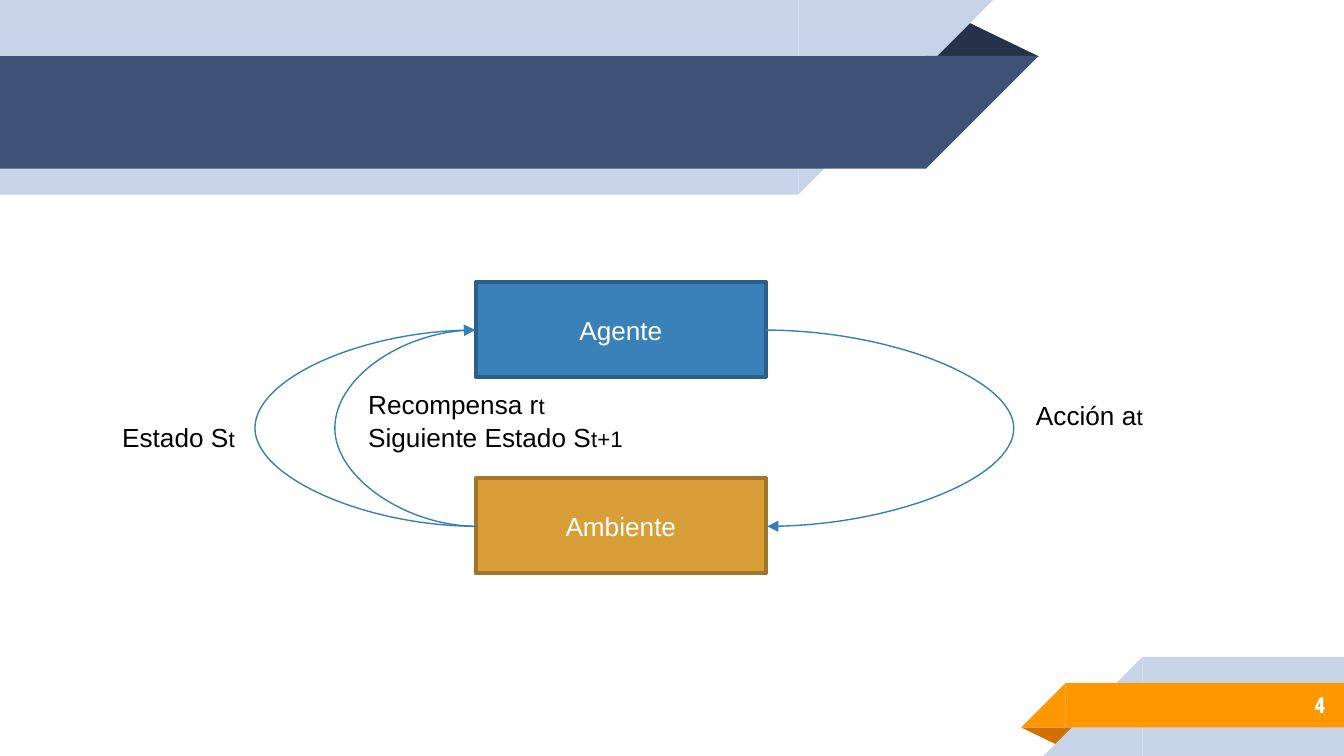
"""Build the agent and environment loop slide."""
from lxml import etree
from pptx import Presentation
from pptx.dml.color import RGBColor
from pptx.enum.shapes import MSO_CONNECTOR, MSO_SHAPE
from pptx.enum.text import MSO_ANCHOR, PP_ALIGN
from pptx.oxml.ns import qn
from pptx.util import Cm, Pt

RECT = MSO_SHAPE.RECTANGLE
TRI = MSO_SHAPE.ISOSCELES_TRIANGLE
CORNER = MSO_SHAPE.RIGHT_TRIANGLE
CURVE = MSO_CONNECTOR.CURVE
CENTER, RIGHT = PP_ALIGN.CENTER, PP_ALIGN.RIGHT
MIDDLE = MSO_ANCHOR.MIDDLE

COLORS = {
    "navy": "3F5378", "dark": "263248", "pale": "C7D3E6",
    "orange": "FF9800", "rust": "D26F00", "white": "FFFFFF", "black": "000000",
    "agent": "3A81BA", "agent_line": "2B5F8A",
    "env": "D89F39", "env_line": "A0762A", "arrow": "367EB9",
}


def add_block(kind, x, y, w, h, color):
    sp = s.shapes.add_shape(kind, Cm(x), Cm(y), Cm(w), Cm(h))
    sp.shadow.inherit = False
    sp.fill.solid()
    sp.fill.fore_color.rgb = RGBColor.from_string(COLORS[color])
    sp.line.fill.background()
    return sp


def add_run(p, text, size, color, font="Arial"):
    r = p.add_run()
    r.text = text
    r.font.size = Pt(size)
    r.font.name = font
    r.font.color.rgb = RGBColor.from_string(COLORS[color])
    return r


prs = Presentation()
prs.slide_width, prs.slide_height = Cm(25.4), Cm(14.29)
s = prs.slides.add_slide(prs.slide_layouts[6])

sp = add_block(TRI, 17.48, 0.36, 2.16, 0.71, "dark")
sp.adjustments[0] = 0.32
for y, w, h, color in [(0, 15.09, 3.68, "pale"), (1.06, 17.5, 2.13, "navy")]:
    add_block(RECT, 0, y, w, h, color)
    sp = add_block(CORNER, w, y, h, h, color)
    sp._element.spPr.xfrm.set("flipV", "1")

sp = add_block(TRI, 19.3, 13.75, 1.09, 0.36, "rust")
sp.adjustments[0] = 0.32
sp.rotation = 180
for x, y, h, color in [(21.59, 12.42, 1.87, "pale"), (20.14, 12.91, 0.84, "orange")]:
    add_block(RECT, x, y, 25.4 - x, h, color)
    sp = add_block(CORNER, x - h, y, h, h, color)
    sp._element.spPr.xfrm.set("flipH", "1")

sp = s.shapes.add_textbox(Cm(21.16), Cm(12.88), Cm(4.14), Cm(0.89))
tf = sp.text_frame
tf.word_wrap = True
tf.vertical_anchor = MIDDLE
p = tf.paragraphs[0]
p.alignment = RIGHT
add_run(p, "4", 12, "white", "Roboto Condensed").font.bold = True

for y, text, color in [(5.33, "Agente", "agent"), (9.04, "Ambiente", "env")]:
    sp = add_block(RECT, 8.99, y, 5.49, 1.8, color)
    sp.line.color.rgb = RGBColor.from_string(COLORS[color + "_line"])
    sp.line.width = Pt(2)
    etree.SubElement(sp.line._get_or_add_ln(), qn("a:round"))
    tf = sp.text_frame
    tf.vertical_anchor = MIDDLE
    p = tf.paragraphs[0]
    p.alignment = CENTER
    add_run(p, text, 14, "white")

TOP, BOTTOM, STEP = 6.24, 9.95, 0.04
for x1, y1, x2, y2, depth in [
    (9.02, BOTTOM, 8.98, TOP, 4.2),
    (14.46, TOP, 14.5, BOTTOM, 4.7),
    (9.02, BOTTOM, 8.98, TOP, 2.69),
]:
    sp = s.shapes.add_connector(CURVE, Cm(x1), Cm(y1), Cm(x2), Cm(y2))
    sp.line.color.rgb = RGBColor.from_string(COLORS["arrow"])
    sp.line.width = Pt(0.75)
    etree.SubElement(sp.line._get_or_add_ln(), qn("a:tailEnd"), type="triangle")
    spPr = sp._element.spPr
    etree.SubElement(spPr, qn("a:effectLst"))
    guides = spPr.find(qn("a:prstGeom")).find(qn("a:avLst"))
    bend = round(depth / STEP * 100000)
    etree.SubElement(guides, qn("a:gd"), name="adj1", fmla=f"val {bend}")

for x, y, w, text, index in [
    (2.06, 7.85, 2.67, "Estado S", "t"),
    (19.33, 7.42, 2.54, "Acción a", "t"),
    (6.71, 7.21, 3.86, "Recompensa r", "t"),
    (6.71, 7.85, 5.36, "Siguiente Estado S", "t+1"),
]:
    sp = s.shapes.add_textbox(Cm(x), Cm(y), Cm(w), Cm(0.86))
    tf = sp.text_frame
    tf.word_wrap = False
    p = tf.paragraphs[0]
    add_run(p, text, 14, "black")
    add_run(p, index, 12, "black")

prs.save("out.pptx")
